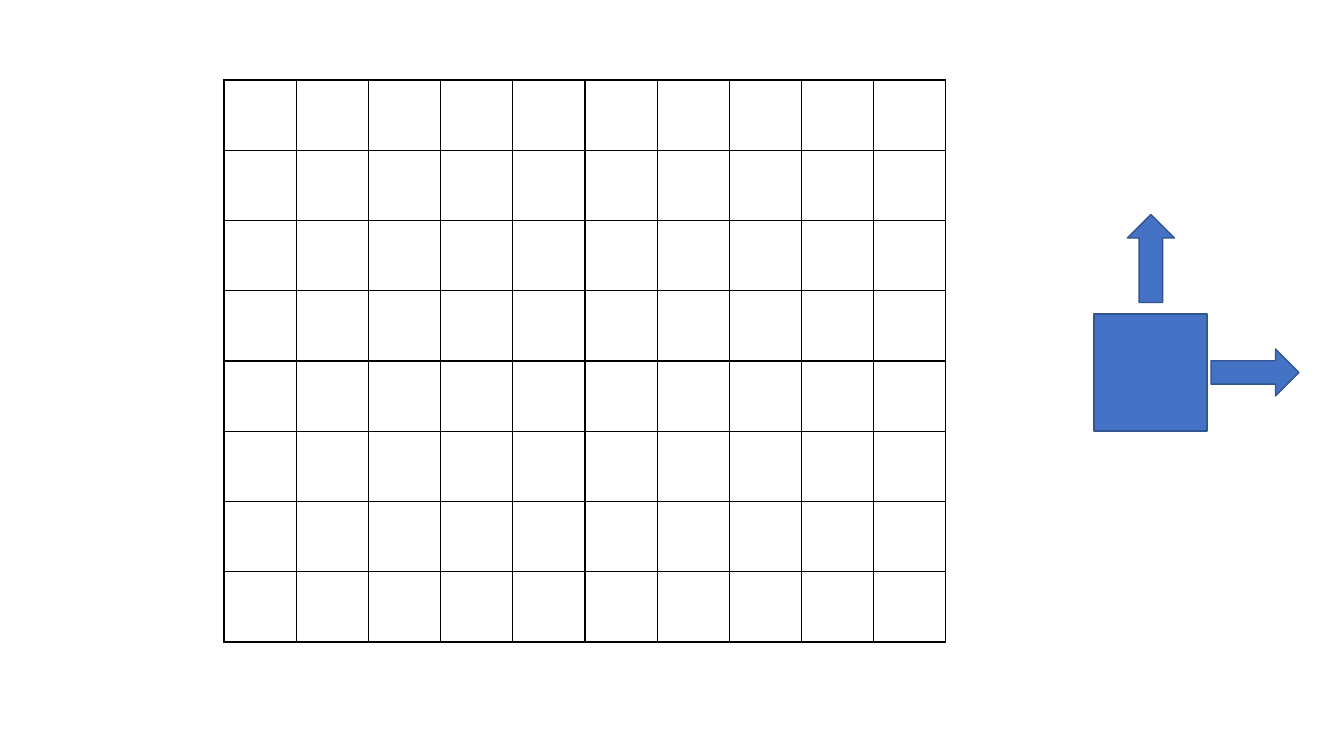
"""Build a slide with an empty 10 by 8 grid and a square with up and right arrows."""
from lxml import etree
from pptx import Presentation
from pptx.dml.color import RGBColor
from pptx.enum.shapes import MSO_SHAPE
from pptx.oxml.ns import qn
from pptx.util import Pt

RECTANGLE = MSO_SHAPE.RECTANGLE
RIGHT_ARROW = MSO_SHAPE.RIGHT_ARROW

PX = 9525 * 96 / 100.8
SLIDE_SIZE = (1344, 756)
COLORS = {"grid": "000000", "fill": "4472C4", "outline": "325491"}
GRID = {"rows": 8, "columns": 10, "box": (224, 80, 722, 562)}
BORDER_SIDES = ("a:lnL", "a:lnR", "a:lnT", "a:lnB")
MOVES = [
    (RECTANGLE, (1094, 314, 113, 117), 0),
    (RIGHT_ARROW, (1107, 235, 88, 47), 270),
    (RIGHT_ARROW, (1211, 349, 88, 47), 0),
]


def emu(lengths):
    return [round(length * PX) for length in lengths]


def add_borders(cell):
    properties = cell._tc.get_or_add_tcPr()
    for position, side in enumerate(BORDER_SIDES):
        border = etree.Element(qn(side), w=str(Pt(1)))
        solid = etree.SubElement(border, qn("a:solidFill"))
        etree.SubElement(solid, qn("a:srgbClr"), val=COLORS["grid"])
        properties.insert(position, border)


def add_grid(slide):
    grid = slide.shapes.add_table(GRID["rows"], GRID["columns"], *emu(GRID["box"])).table
    grid.first_row = False
    grid.horz_banding = False
    for cell in grid.iter_cells():
        cell.fill.background()
        add_borders(cell)


def add_move(slide, outline, box, rotation):
    move = slide.shapes.add_shape(outline, *emu(box))
    move.rotation = rotation
    move.shadow.inherit = False
    move.fill.solid()
    move.fill.fore_color.rgb = RGBColor.from_string(COLORS["fill"])
    move.line.color.rgb = RGBColor.from_string(COLORS["outline"])
    move.line.width = Pt(1)


def main():
    deck = Presentation()
    deck.slide_width, deck.slide_height = emu(SLIDE_SIZE)
    slide = deck.slides.add_slide(deck.slide_layouts[6])
    add_grid(slide)
    for outline, box, rotation in MOVES:
        add_move(slide, outline, box, rotation)
    deck.save("out.pptx")


if __name__ == "__main__":
    main()
